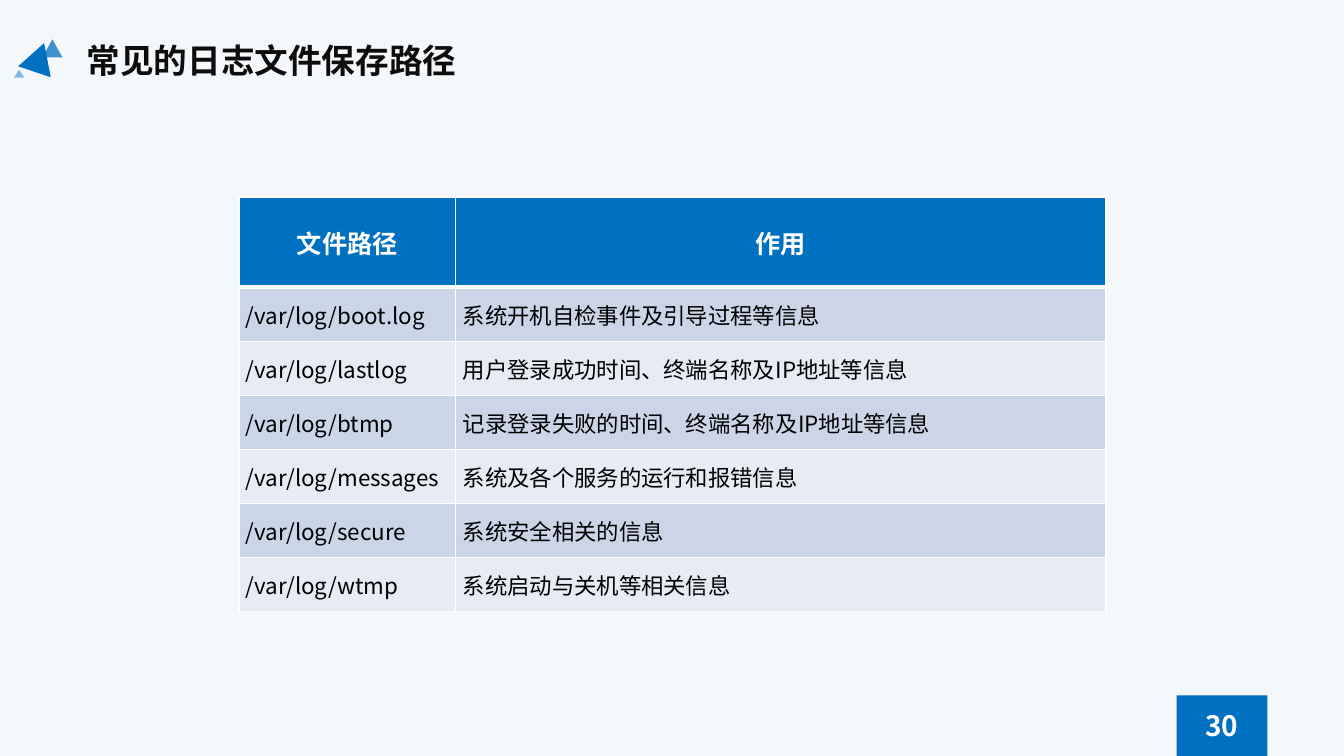
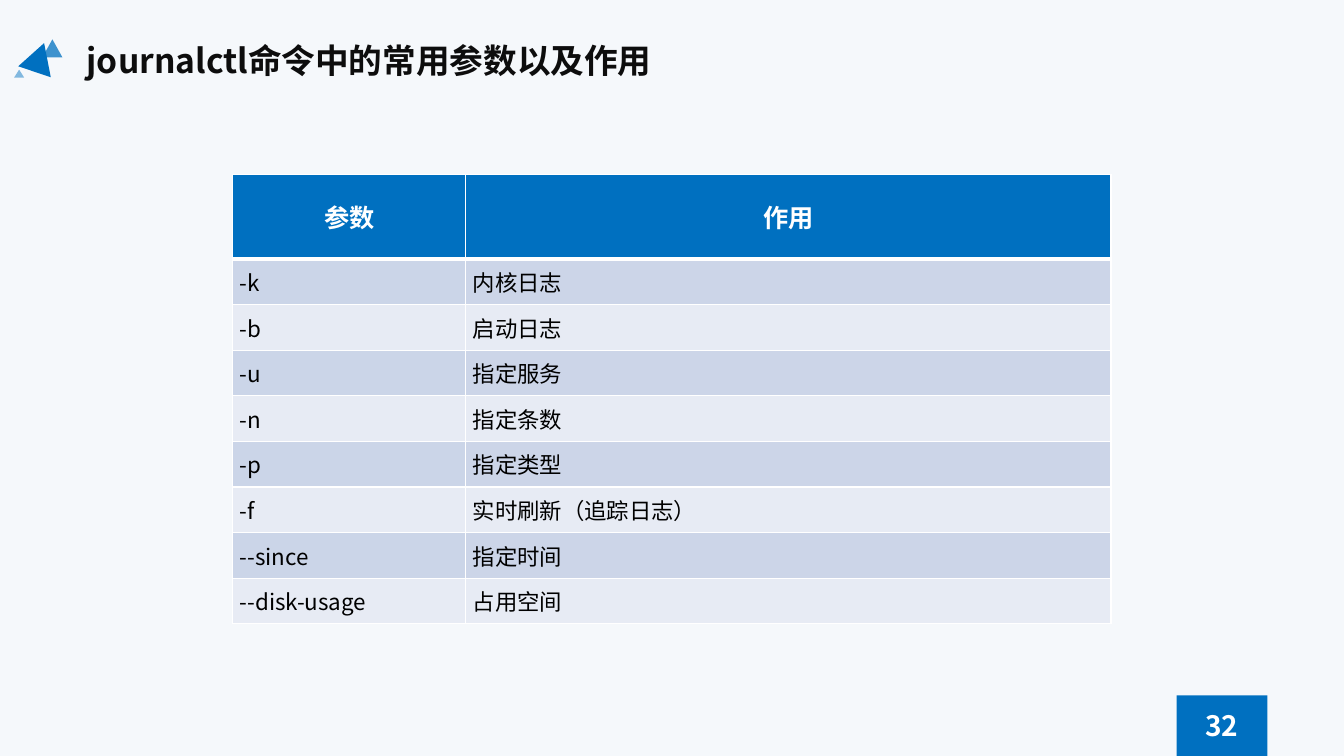
from dataclasses import dataclass

from lxml import etree
from pptx import Presentation
from pptx.dml.color import RGBColor
from pptx.enum.shapes import MSO_SHAPE
from pptx.enum.text import MSO_ANCHOR, MSO_AUTO_SIZE, PP_ALIGN
from pptx.oxml.ns import qn
from pptx.util import Inches, Pt

TRIANGLE, RECT = MSO_SHAPE.ISOSCELES_TRIANGLE, MSO_SHAPE.RECTANGLE
LEFT, CENTER, JUSTIFY = PP_ALIGN.LEFT, PP_ALIGN.CENTER, PP_ALIGN.JUSTIFY
TOP, MIDDLE = MSO_ANCHOR.TOP, MSO_ANCHOR.MIDDLE
TITLE_ONLY = 5


@dataclass(frozen=True)
class Theme:
    font: str = "Noto Sans CJK SC"
    background: str = "F5F8FB"
    accent: str = "0070C0"
    title: str = "0D0D0D"
    white: str = "FFFFFF"
    body: str = "000000"
    bands: tuple = (("CBD5E8", "CCD5E8"), ("E7EBF4", "E7EBF4"))
    title_size: int = 24
    page_size: int = 20
    head_size: int = 18
    body_size: int = 16
    border: float = 1
    head_border: float = 3


THEME = Theme()
TITLE_STYLE = {"size": Pt(THEME.title_size), "bold": True, "color": THEME.title}
PAGE_STYLE = {"size": Pt(THEME.page_size), "bold": True, "color": THEME.white}
HEAD_STYLE = {"size": Pt(THEME.head_size), "bold": True, "color": THEME.white}
BODY_STYLE = {"size": Pt(THEME.body_size), "bold": False, "color": THEME.body}


@dataclass(frozen=True)
class Triangle:
    box: tuple
    rotation: float = 0
    opacity: int = 100


@dataclass(frozen=True)
class TableSlide:
    title: str
    page: int
    box: tuple
    first_col: float
    head_height: float
    rows: tuple  # heading row first


MARK = (
    Triangle((0.42, 0.39, 0.2, 0.18), opacity=75),
    Triangle((0.22, 0.42, 0.34, 0.3), rotation=18.5),
    Triangle((0.14, 0.69, 0.1, 0.08), opacity=47),
)

SLIDES = (
    TableSlide("常见的日志文件保存路径", 30, (2.37, 1.96, 8.6, 4.11), 2.15, 0.89, (
        ("文件路径", "作用"),
        ("/var/log/boot.log", "系统开机自检事件及引导过程等信息"),
        ("/var/log/lastlog", "用户登录成功时间、终端名称及IP地址等信息"),
        ("/var/log/btmp", "记录登录失败的时间、终端名称及IP地址等信息"),
        ("/var/log/messages", "系统及各个服务的运行和报错信息"),
        ("/var/log/secure", "系统安全相关的信息"),
        ("/var/log/wtmp", "系统启动与关机等相关信息"),
    )),
    TableSlide("journalctl命令中的常用参数以及作用", 32, (2.31, 1.73, 8.71, 4.46), 2.31, 0.84, (
        ("参数", "作用"),
        ("-k", "内核日志"),
        ("-b", "启动日志"),
        ("-u", "指定服务"),
        ("-n", "指定条数"),
        ("-p", "指定类型"),
        ("-f", "实时刷新（追踪日志）"),
        ("--since", "指定时间"),
        ("--disk-usage", "占用空间"),
    )),
)


def inches(box: tuple) -> list:
    return [Inches(v) for v in box]


def paint(fill, color: str, opacity: int = 100) -> None:
    fill.solid()
    fill.fore_color.rgb = RGBColor.from_string(color)


def write(tf, text: str, style: dict, align, anchor) -> None:
    """Put one styled run into a text frame."""
    tf.vertical_anchor = anchor
    p = tf.paragraphs[0]
    p.alignment = align
    r = p.add_run()
    r.text = text
    for name, value in style.items():
        if name == "color":
            r.font.color.rgb = RGBColor.from_string(value)
        else:
            setattr(r.font, name, value)
    r.font.name = THEME.font
    etree.SubElement(r._r.get_or_add_rPr(), qn("a:ea"), typeface=THEME.font)


def add_block(shapes, kind, box: tuple, opacity: int = 100):
    """Add an accent-coloured shape without outline or shadow."""
    sp = shapes.add_shape(kind, *inches(box))
    sp.shadow.inherit = False
    sp.line.fill.background()
    paint(sp.fill, THEME.accent)
    if opacity < 100:
        color = sp._element.spPr.find(".//" + qn("a:srgbClr"))
        etree.SubElement(color, qn("a:alpha"), val=str(opacity * 1000))
    return sp


def add_frame(slide, title: str, page: int) -> None:
    """Title, corner mark and page number."""
    sp = slide.shapes.title
    sp.left, sp.top, sp.width, sp.height = inches((0.76, 0.35, 6.48, 0.5))
    tf = sp.text_frame
    tf.auto_size = MSO_AUTO_SIZE.NONE
    write(tf, title, TITLE_STYLE, LEFT, TOP)

    mark = slide.shapes.add_group_shape()
    for t in MARK:
        add_block(mark.shapes, TRIANGLE, t.box, t.opacity).rotation = t.rotation

    sp = add_block(slide.shapes, RECT, (11.67, 6.9, 0.9, 0.6))
    write(sp.text_frame, str(page), PAGE_STYLE, CENTER, MIDDLE)


def set_borders(cell, top: float, bottom: float) -> None:
    tcPr = cell._tc.get_or_add_tcPr()
    widths = {"lnL": THEME.border, "lnR": THEME.border, "lnT": top, "lnB": bottom}
    for i, (side, width) in enumerate(widths.items()):
        ln = etree.Element(qn("a:" + side), w=str(Pt(width)))
        fill = etree.SubElement(ln, qn("a:solidFill"))
        etree.SubElement(fill, qn("a:srgbClr"), val=THEME.white)
        tcPr.insert(i, ln)


def add_grid(slide, spec: TableSlide) -> None:
    """Two-column table with a heading row and alternating bands."""
    count = len(spec.rows)
    _, _, width, height = spec.box
    table = slide.shapes.add_table(count, 2, *inches(spec.box)).table
    table.columns[0].width = Inches(spec.first_col)
    table.columns[1].width = Inches(width - spec.first_col)
    row_height = (height - spec.head_height) / (count - 1)

    for i, texts in enumerate(spec.rows):
        head = i == 0
        table.rows[i].height = Inches(spec.head_height if head else row_height)
        fills = (THEME.accent,) * 2 if head else THEME.bands[(i - 1) % 2]
        for j, text in enumerate(texts):
            cell = table.cell(i, j)
            cell.margin_left = cell.margin_right = Inches(0.07)
            cell.margin_top = cell.margin_bottom = 0
            cell.vertical_anchor = MIDDLE
            paint(cell.fill, fills[j])
            write(cell.text_frame, text, HEAD_STYLE if head else BODY_STYLE,
                  CENTER if head else JUSTIFY, MIDDLE)
            set_borders(cell, THEME.head_border if i == 1 else THEME.border,
                        THEME.head_border if head else THEME.border)


def main() -> None:
    prs = Presentation()
    prs.slide_width, prs.slide_height = Inches(13.33), Inches(7.5)
    paint(prs.slide_master.background.fill, THEME.background)
    for spec in SLIDES:
        slide = prs.slides.add_slide(prs.slide_layouts[TITLE_ONLY])
        add_frame(slide, spec.title, spec.page)
        add_grid(slide, spec)
    prs.save("out.pptx")


if __name__ == "__main__":
    main()
